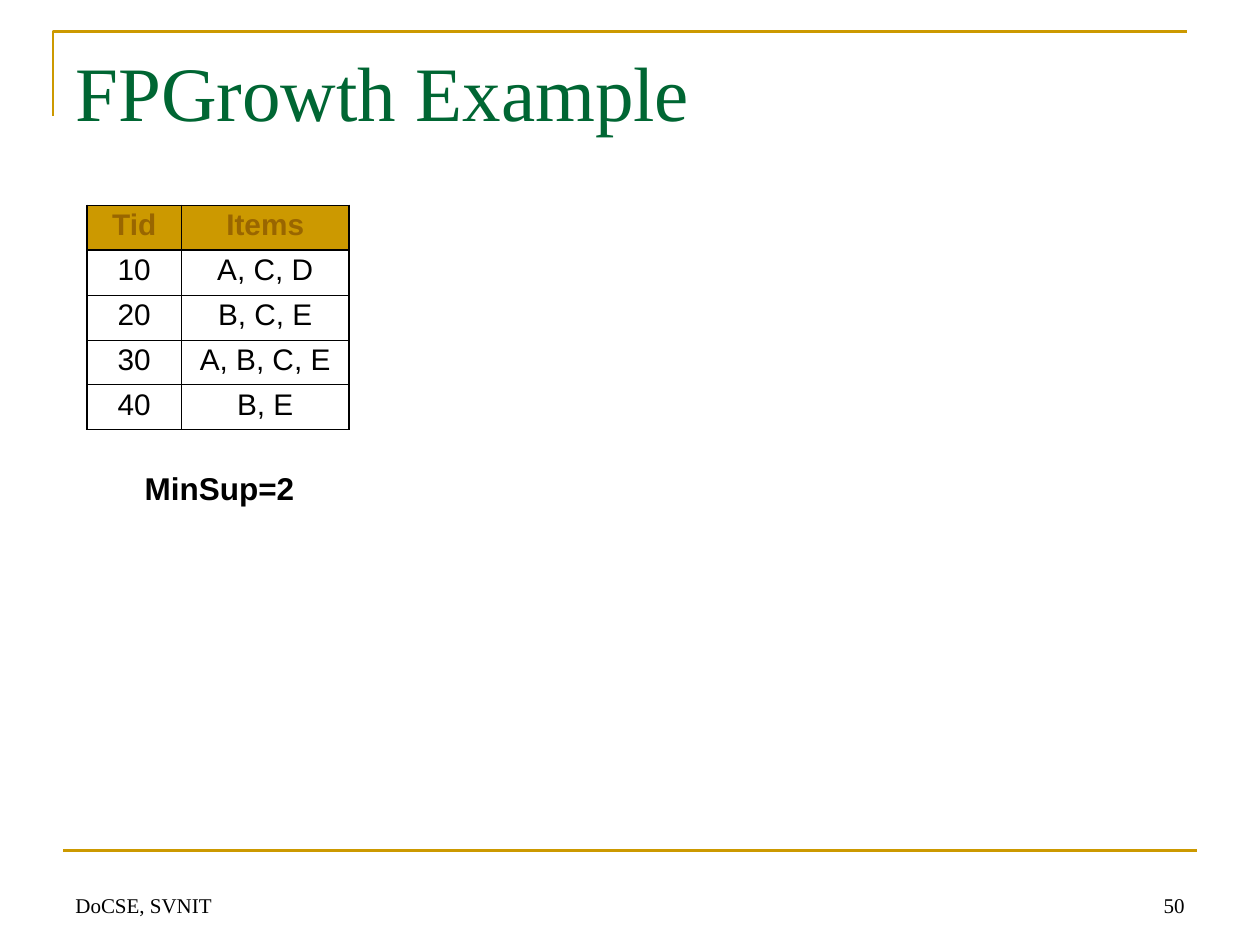
from lxml import etree
from pptx import Presentation
from pptx.dml.color import RGBColor
from pptx.enum.shapes import MSO_CONNECTOR
from pptx.enum.text import MSO_ANCHOR, MSO_AUTO_SIZE, PP_ALIGN
from pptx.oxml.ns import qn
from pptx.util import Inches, Pt

LEFT, CENTER, RIGHT = PP_ALIGN.LEFT, PP_ALIGN.CENTER, PP_ALIGN.RIGHT
TOP, BOTTOM = MSO_ANCHOR.TOP, MSO_ANCHOR.BOTTOM
STRAIGHT = MSO_CONNECTOR.STRAIGHT
FIT_SHAPE = MSO_AUTO_SIZE.SHAPE_TO_FIT_TEXT

GOLD = RGBColor(0xCC, 0x99, 0x00)
BROWN = RGBColor(0x99, 0x66, 0x00)
GREEN = RGBColor(0x00, 0x66, 0x33)
BLACK = RGBColor(0x00, 0x00, 0x00)
SERIF, SANS = "Times New Roman", "Arial"
THICK, THIN = Pt(1.08), Pt(0.45)

TRANSACTIONS = [
    ("Tid", "Items"),
    ("10", "A, C, D"),
    ("20", "B, C, E"),
    ("30", "A, B, C, E"),
    ("40", "B, E"),
]


def write(frame, text, font, size, color, bold=False, align=LEFT):
    """Write one formatted run into the first paragraph and return the paragraph."""
    para = frame.paragraphs[0]
    para.alignment = align
    span = para.add_run()
    span.text = text
    span.font.name = font
    span.font.size = Pt(size)
    span.font.bold = bold
    span.font.color.rgb = color
    return para


def add_frame(page, left, top, width, height):
    """Draw the gold corner at the top left and the rule above the footer."""
    builder = page.shapes.build_freeform(left, top + Inches(0.67))
    builder.add_line_segments([(left, top), (left + width, top)], close=False)
    corner = builder.convert_to_shape()
    corner.shadow.inherit = False
    corner.fill.background()
    rule_left, rule_top = left + Inches(0.08), top + height
    rule = page.shapes.add_connector(
        STRAIGHT, rule_left, rule_top, rule_left + width, rule_top)
    etree.SubElement(rule._element.spPr, qn("a:effectLst"))
    for outline in (corner.line, rule.line):
        outline.color.rgb = GOLD
        outline.width = Pt(1.5)


def add_title(page, left, top, width, height):
    """Place the slide title in its placeholder."""
    title = page.shapes.title
    title.left, title.top, title.width, title.height = left, top, width, height
    title.text_frame.vertical_anchor = TOP
    write(title.text_frame, "FPGrowth Example", SERIF, 44, GREEN)


def add_footer(page, left, top, width, height):
    """Place the department name on the left and the page number on the right."""
    number_width = Inches(2.33)
    parts = [
        ("DoCSE, SVNIT", left, Inches(6.08), LEFT),
        ("50", left + width - number_width, number_width, RIGHT),
    ]
    for text, part_left, part_width, align in parts:
        box = page.shapes.add_textbox(part_left, top, part_width, height)
        box.text_frame.word_wrap = True
        box.text_frame.vertical_anchor = BOTTOM
        write(box.text_frame, text, SERIF, 12, BLACK, align=align)


def set_borders(cell, top, bottom):
    """Give a cell thick black sides and the given top and bottom borders."""
    properties = cell._tc.get_or_add_tcPr()
    for side, width in (("L", THICK), ("R", THICK), ("T", top), ("B", bottom)):
        border = etree.SubElement(properties, qn(f"a:ln{side}"), w=str(int(width)))
        fill = etree.SubElement(border, qn("a:solidFill"))
        etree.SubElement(fill, qn("a:srgbClr"), val=str(BLACK))


def add_transactions(page, left, top, width, height):
    """Build the transaction table with a gold header row."""
    count = len(TRANSACTIONS)
    table = page.shapes.add_table(count, 2, left, top, width, height).table
    table.horz_banding = False
    table.columns[0].width = Inches(0.75)
    table.columns[1].width = width - Inches(0.75)
    for index, values in enumerate(TRANSACTIONS):
        header = index == 0
        above = THICK if index <= 1 else THIN
        below = THICK if index in (0, count - 1) else THIN
        for column, text in enumerate(values):
            cell = table.cell(index, column)
            set_borders(cell, above, below)
            if header:
                cell.fill.solid()
                cell.fill.fore_color.rgb = GOLD
            else:
                cell.fill.background()
            color = BROWN if header else BLACK
            para = write(cell.text_frame, text, SANS, 17, color, header, CENTER)
            para.line_spacing = 0.9


def add_support(page, left, top, width, height):
    """Place the minimum support label under the table."""
    box = page.shapes.add_textbox(left, top, width, height)
    box.text_frame.word_wrap = False
    box.text_frame.auto_size = FIT_SHAPE
    write(box.text_frame, "MinSup=2", SANS, 18, BLACK, bold=True)


def main():
    """Build the slide and save the deck."""
    deck = Presentation()
    deck.slide_width, deck.slide_height = Inches(10), Inches(7.5)
    page = deck.slides.add_slide(deck.slide_layouts[5])
    add_frame(page, Inches(0.42), Inches(0.25), Inches(9), Inches(6.5))
    add_title(page, Inches(0.5), Inches(0.3), Inches(9), Inches(1.25))
    add_footer(page, Inches(0.5), Inches(6.83), Inches(9), Inches(0.5))
    add_transactions(page, Inches(0.69), Inches(1.63), Inches(2.08), Inches(1.78))
    add_support(page, Inches(1.05), Inches(3.67), Inches(1.39), Inches(0.4))
    deck.save("out.pptx")


if __name__ == "__main__":
    main()
